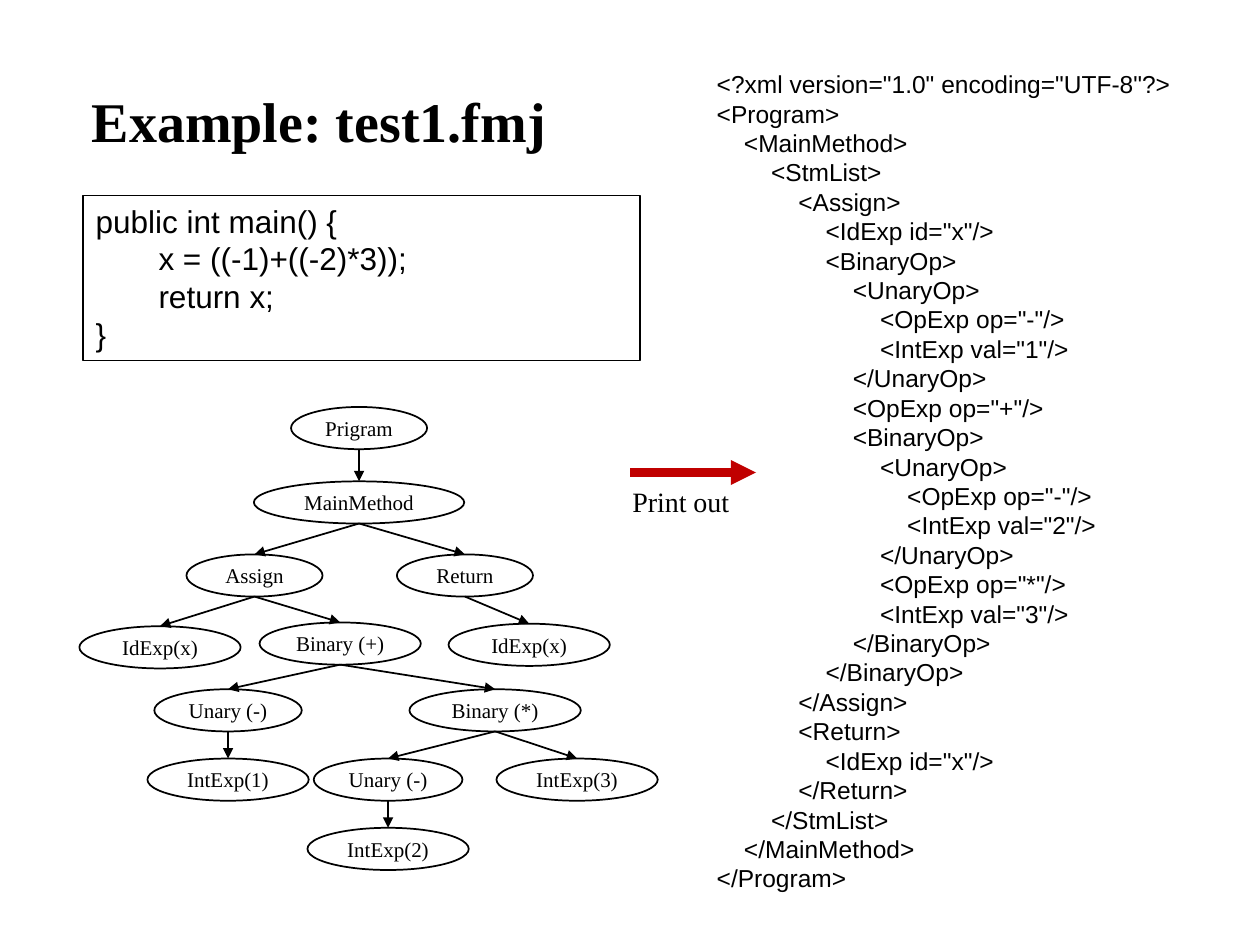
from lxml import etree
from pptx import Presentation
from pptx.dml.color import RGBColor
from pptx.enum.shapes import MSO_CONNECTOR, MSO_SHAPE
from pptx.enum.text import MSO_ANCHOR, PP_ALIGN
from pptx.oxml.ns import qn
from pptx.util import Inches, Pt

BLACK = RGBColor(0, 0, 0)
RED = RGBColor(0xC0, 0, 0)
SANS = "Arial"
SERIF = "Times New Roman"
OVAL, RECT = MSO_SHAPE.OVAL, MSO_SHAPE.RECTANGLE
STRAIGHT = MSO_CONNECTOR.STRAIGHT
CENTER, LEFT = PP_ALIGN.CENTER, PP_ALIGN.LEFT
MIDDLE, TOP = MSO_ANCHOR.MIDDLE, MSO_ANCHOR.TOP

NODE_H = 0.335
XML_STEP = 0.216  # indent per nesting level

CODE = ["public int main() {", "\tx = ((-1)+((-2)*3));", "\treturn x;", "}"]

XML_LINES = """<?xml version="1.0" encoding="UTF-8"?>
<Program>
<MainMethod>
<StmList>
<Assign>
<IdExp id="x"/>
<BinaryOp>
<UnaryOp>
<OpExp op="-"/>
<IntExp val="1"/>
</UnaryOp>
<OpExp op="+"/>
<BinaryOp>
<UnaryOp>
<OpExp op="-"/>
<IntExp val="2"/>
</UnaryOp>
<OpExp op="*"/>
<IntExp val="3"/>
</BinaryOp>
</BinaryOp>
</Assign>
<Return>
<IdExp id="x"/>
</Return>
</StmList>
</MainMethod>
</Program>""".splitlines()

# key: (label, centre x, top, width)
NODES = {
    "program": ("Prigram", 2.85, 3.23, 1.08),
    "main": ("MainMethod", 2.85, 3.82, 1.67),
    "assign": ("Assign", 2.02, 4.4, 1.08),
    "return": ("Return", 3.69, 4.4, 1.08),
    "target": ("IdExp(x)", 1.27, 4.97, 1.28),
    "plus": ("Binary (+)", 2.7, 4.94, 1.28),
    "result": ("IdExp(x)", 4.2, 4.95, 1.28),
    "minus1": ("Unary (-)", 1.81, 5.47, 1.17),
    "times": ("Binary (*)", 3.93, 5.47, 1.36),
    "int1": ("IntExp(1)", 1.81, 6.02, 1.28),
    "minus2": ("Unary (-)", 3.08, 6.02, 1.18),
    "int3": ("IntExp(3)", 4.58, 6.02, 1.28),
    "int2": ("IntExp(2)", 3.08, 6.57, 1.28),
}

CHILDREN = {
    "program": ["main"],
    "main": ["assign", "return"],
    "assign": ["target", "plus"],
    "return": ["result"],
    "plus": ["minus1", "times"],
    "minus1": ["int1"],
    "times": ["minus2", "int3"],
    "minus2": ["int2"],
}


def write_lines(tf, lines, size, font, bold=False, align=LEFT, anchor=TOP):
    tf.vertical_anchor = anchor
    for i, line in enumerate(lines):
        p = tf.add_paragraph() if i else tf.paragraphs[0]
        p.alignment = align
        r = p.add_run()
        r.text = line
        r.font.size = Pt(size)
        r.font.name = font
        r.font.bold = bold
        r.font.color.rgb = BLACK


def add_text(s, box, lines, size, font, bold=False, wrap=True):
    tf = s.shapes.add_textbox(*map(Inches, box)).text_frame
    tf.word_wrap = wrap
    write_lines(tf, lines, size, font, bold)
    return tf


def add_outline(s, kind, box, weight):
    sp = s.shapes.add_shape(kind, *map(Inches, box))
    sp.shadow.inherit = False
    sp.fill.background()
    sp.line.color.rgb = BLACK
    sp.line.width = Pt(weight)
    return sp.text_frame


def add_node(s, label, cx, top, width):
    tf = add_outline(s, OVAL, (cx - width / 2, top, width, NODE_H), 1)
    tf.word_wrap = False
    tf.margin_left = tf.margin_right = tf.margin_top = tf.margin_bottom = 0
    write_lines(tf, [label], 12, SERIF, align=CENTER, anchor=MIDDLE)


def add_arrow(s, start, end, color=BLACK, weight=1):
    cxn = s.shapes.add_connector(STRAIGHT, *map(Inches, start + end))
    cxn.line.color.rgb = color
    cxn.line.width = Pt(weight)
    ln = cxn.line._get_or_add_ln()
    etree.SubElement(ln, qn("a:tailEnd"), type="triangle")
    etree.SubElement(cxn._element.spPr, qn("a:effectLst"))


def indent_by_nesting(tf):
    depth = 0
    for p in tf.paragraphs:
        if p.text.startswith("</"):
            depth -= 1
        pPr = p._p.get_or_add_pPr()
        pPr.set("marL", str(Inches(depth * XML_STEP)))
        pPr.set("indent", "0")
        if not p.text.startswith(("</", "<?")) and not p.text.endswith("/>"):
            depth += 1


def add_tree(s):
    for node in NODES.values():
        add_node(s, *node)
    for parent, children in CHILDREN.items():
        _, px, ptop, _ = NODES[parent]
        for child in children:
            _, cx, ctop, _ = NODES[child]
            add_arrow(s, (px, ptop + NODE_H), (cx, ctop))


def main():
    prs = Presentation()
    prs.slide_width, prs.slide_height = Inches(10), Inches(7.5)
    s = prs.slides.add_slide(prs.slide_layouts[6])

    # XML listing
    tf = add_text(s, (5.59, 0.5, 3.87, 6.7), XML_LINES, 14, SANS)
    indent_by_nesting(tf)

    # Source code box
    tf = add_outline(s, RECT, (0.66, 1.55, 4.42, 1.31), 0.75)
    tf.word_wrap = True
    write_lines(tf, CODE, 18, SANS)

    # Title
    tf = add_text(s, (0.63, 0.59, 3.98, 0.83), ["Example: test1.fmj"], 32, SERIF, bold=True)
    tf.margin_top = Inches(0.1)

    # Syntax tree
    add_tree(s)

    # Print arrow and its label
    add_arrow(s, (5, 3.75), (6, 3.75), RED, 4.75)
    add_text(s, (4.92, 3.8, 0.98, 0.37), ["Print out"], 16, SERIF, wrap=False)

    prs.save("out.pptx")


if __name__ == "__main__":
    main()
